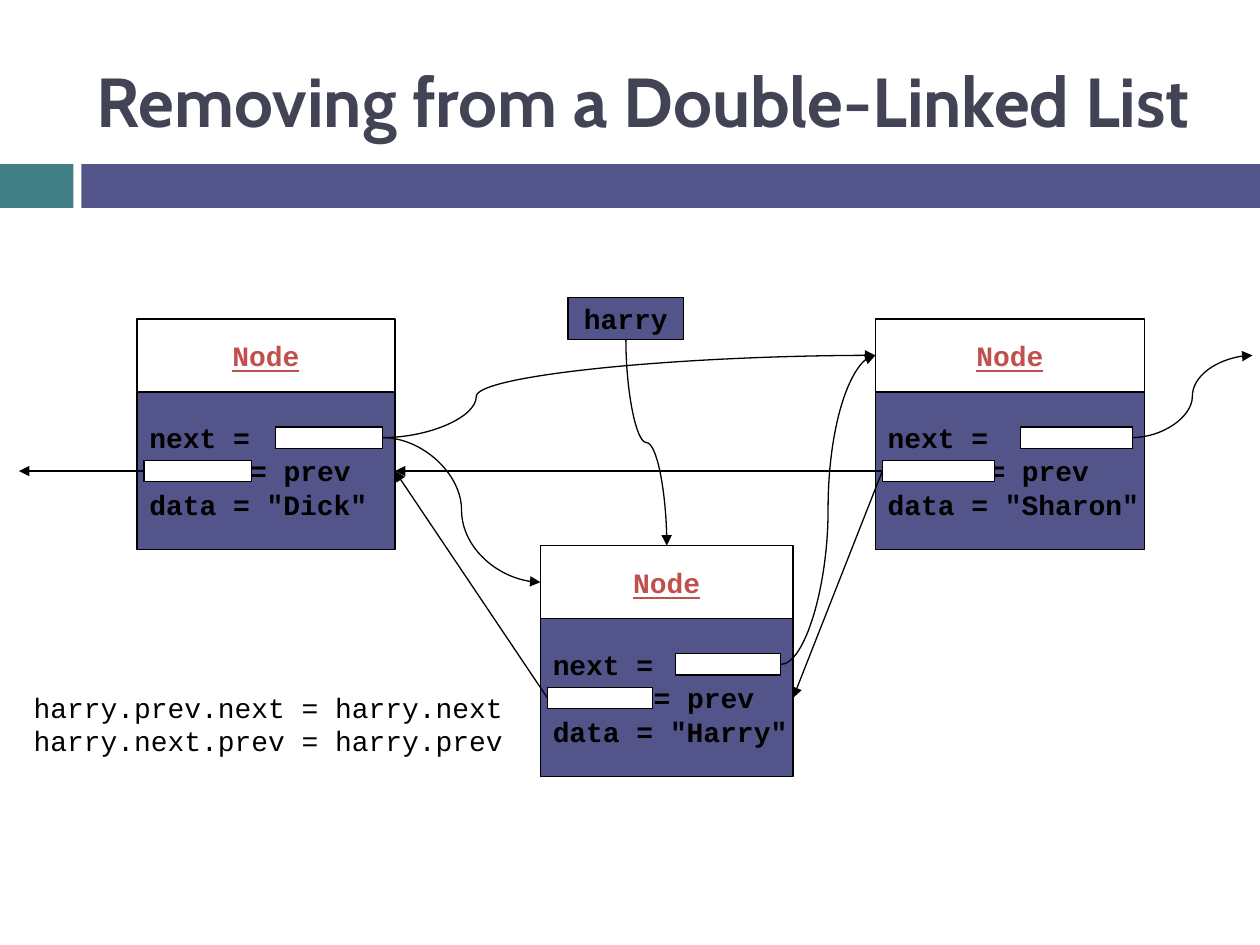
from dataclasses import dataclass
from lxml.etree import SubElement
from pptx import Presentation
from pptx.dml.color import RGBColor
from pptx.enum.shapes import MSO_CONNECTOR, MSO_SHAPE
from pptx.enum.text import MSO_ANCHOR, PP_ALIGN
from pptx.oxml.ns import qn
from pptx.util import Pt


@dataclass(frozen=True)
class Theme:
    """Colours, fonts and sizes of the slide."""
    teal: str = "438086"
    violet: str = "53548A"
    title: str = "424456"
    node: str = "C0504D"
    black: str = "000000"
    white: str = "FFFFFF"
    heading: str = "Cabin"
    code: str = "Courier New"
    title_size: float = 39.6
    code_size: float = 16
    line: float = 0.75


THEME = Theme()


def add_rect(slide, x, y, w, h, fill=None, outlined=True):
    """Draw a flat rectangle with an optional fill and outline."""
    s = slide.shapes.add_shape(MSO_SHAPE.RECTANGLE, Pt(x), Pt(y), Pt(w), Pt(h))
    s.shadow.inherit = False
    if fill:
        s.fill.solid()
        s.fill.fore_color.rgb = RGBColor.from_string(fill)
    else:
        s.fill.background()
    if outlined:
        s.line.color.rgb = RGBColor.from_string(THEME.black)
        s.line.width = Pt(THEME.line)
    else:
        s.line.fill.background()
    return s


def write(s, lines, font=THEME.code, size=THEME.code_size, color=THEME.black,
          bold=True, underline=None, align=PP_ALIGN.LEFT):
    """Write lines, each a (text, indent) pair, into a shape."""
    tf = s.text_frame
    tf.word_wrap = True
    tf.vertical_anchor = MSO_ANCHOR.MIDDLE
    if align == PP_ALIGN.LEFT:
        tf.margin_right = 0
    for i, (text, indent) in enumerate(lines):
        p = tf.add_paragraph() if i else tf.paragraphs[0]
        p.alignment = align
        if indent:
            p._p.get_or_add_pPr().set("marL", str(Pt(indent)))
        r = p.add_run()
        r.text = text
        r.font.name, r.font.size = font, Pt(size)
        r.font.bold, r.font.underline = bold, underline
        r.font.color.rgb = RGBColor.from_string(color)


def add_arrow(slide, start, end, kind=MSO_CONNECTOR.STRAIGHT, bend=None):
    """Draw a connector with an arrowhead at its end."""
    c = slide.shapes.add_connector(kind, *(Pt(v) for v in (*start, *end)))
    c.line.color.rgb = RGBColor.from_string(THEME.black)
    c.line.width = Pt(THEME.line)
    SubElement(c.line._get_or_add_ln(), qn("a:tailEnd"), type="triangle", w="med", len="med")
    SubElement(c._element.spPr, qn("a:effectLst"))
    if bend is not None:
        guides = c._element.spPr.find(qn("a:prstGeom")).get_or_add_avLst()
        SubElement(guides, qn("a:gd"), name="adj1", fmla=f"val {round(bend * 100000)}")
    return c


def add_curve(slide, start, end, bend=0.5):
    """Draw a curve that leaves and arrives horizontally."""
    return add_arrow(slide, start, end, MSO_CONNECTOR.CURVE, bend)


def add_drop_curve(slide, start, end):
    """Draw a curve that leaves and arrives vertically."""
    (x1, y1), (x2, y2) = start, end
    cx, cy = (x1 + x2) / 2, (y1 + y2) / 2
    w, h = (y2 - y1) / 2, (x2 - x1) / 2
    c = add_curve(slide, (cx + w, cy - h), (cx - w, cy + h))
    c._element.spPr.find(qn("a:xfrm")).set("rot", str(270 * 60000))


def add_heading(slide, x, y, w, h):
    """Place the title and the two-part band below it."""
    s = slide.shapes.add_textbox(Pt(x + 48.2), Pt(y + 18), Pt(w - 77.8), Pt(77.8))
    write(s, [("Removing from a Double-Linked List", 0)], THEME.heading,
          THEME.title_size, THEME.title)
    band = 22.7 + 2.3
    gap = 46.5
    top = y + h - band
    add_rect(slide, x, top, 42, band, THEME.teal, False)
    add_rect(slide, x + gap, top, w - gap, band, THEME.violet, False)


def add_node(slide, x, y, w, name):
    """Draw a list node and return the points where arrows meet it."""
    head_h, body_h, field_h = 41.8, 90, 12.2
    field_w = 0.416 * w
    next_x, next_y = x + w - 7 - field_w, y + 61.8
    prev_x, prev_y = x + 4, y + 80.9
    body = add_rect(slide, x, y + head_h, w, body_h, THEME.violet)
    write(body, [("next =", 0), ("= prev", 57.6), (f'data = "{name}"', 0)])
    head = add_rect(slide, x, y, w, head_h)
    write(head, [("Node", 0)], color=THEME.node, underline=True, align=PP_ALIGN.CENTER)
    for fx, fy in ((next_x, next_y), (prev_x, prev_y)):
        add_rect(slide, fx, fy, field_w, field_h, THEME.white)
    return {
        "top": (x + w / 2, y),
        "head": (x, y + head_h / 2),
        "back": (x + w, prev_y + field_h / 2),
        "next": (next_x + field_w, next_y + field_h / 2),
        "prev": (prev_x, prev_y + field_h / 2),
    }


def add_variable(slide, x, y, w, h, name):
    """Draw a variable box and return its bottom centre."""
    s = add_rect(slide, x, y, w, h, THEME.violet)
    write(s, [(name, 0)], align=PP_ALIGN.CENTER)
    return x + w / 2, y + h


def add_code(slide, x, y, w, h):
    """Place the two statements that unlink the node."""
    s = slide.shapes.add_textbox(Pt(x), Pt(y), Pt(w), Pt(h))
    write(s, [("harry.prev.next = harry.next", 0),
              ("harry.next.prev = harry.prev", 0)], bold=False)


def add_list(slide, x, y, w):
    """Draw the three nodes, the variable and all links."""
    dick = add_node(slide, x + 67.5, y, 147.4, "Dick")
    harry = add_node(slide, x + 298, y + 129.6, 144.4, "Harry")
    sharon = add_node(slide, x + 489.4, y, 153.8, "Sharon")
    variable = add_variable(slide, x + 313.7, y - 12.2, 66.2, 24, "harry")
    add_curve(slide, dick["next"], harry["head"])
    add_curve(slide, harry["next"], sharon["head"])
    add_curve(slide, dick["next"], sharon["head"], 0.19)
    add_curve(slide, sharon["next"], (x + w, sharon["head"][1]))
    add_drop_curve(slide, variable, harry["top"])
    add_arrow(slide, harry["prev"], dick["back"])
    add_arrow(slide, sharon["prev"], harry["back"])
    add_arrow(slide, sharon["prev"], dick["back"])
    add_arrow(slide, dick["prev"], (x, dick["prev"][1]))


def main():
    """Build the slide and save it."""
    prs = Presentation()
    prs.slide_width, prs.slide_height = Pt(720), Pt(540)
    slide = prs.slides.add_slide(prs.slide_layouts[6])
    add_heading(slide, 0, 0, 720, 118.8)
    add_list(slide, 10.8, 182.2, 704.9)
    add_code(slide, 12.2, 347.8, 345.6, 131.8)
    prs.save("out.pptx")


if __name__ == "__main__":
    main()
